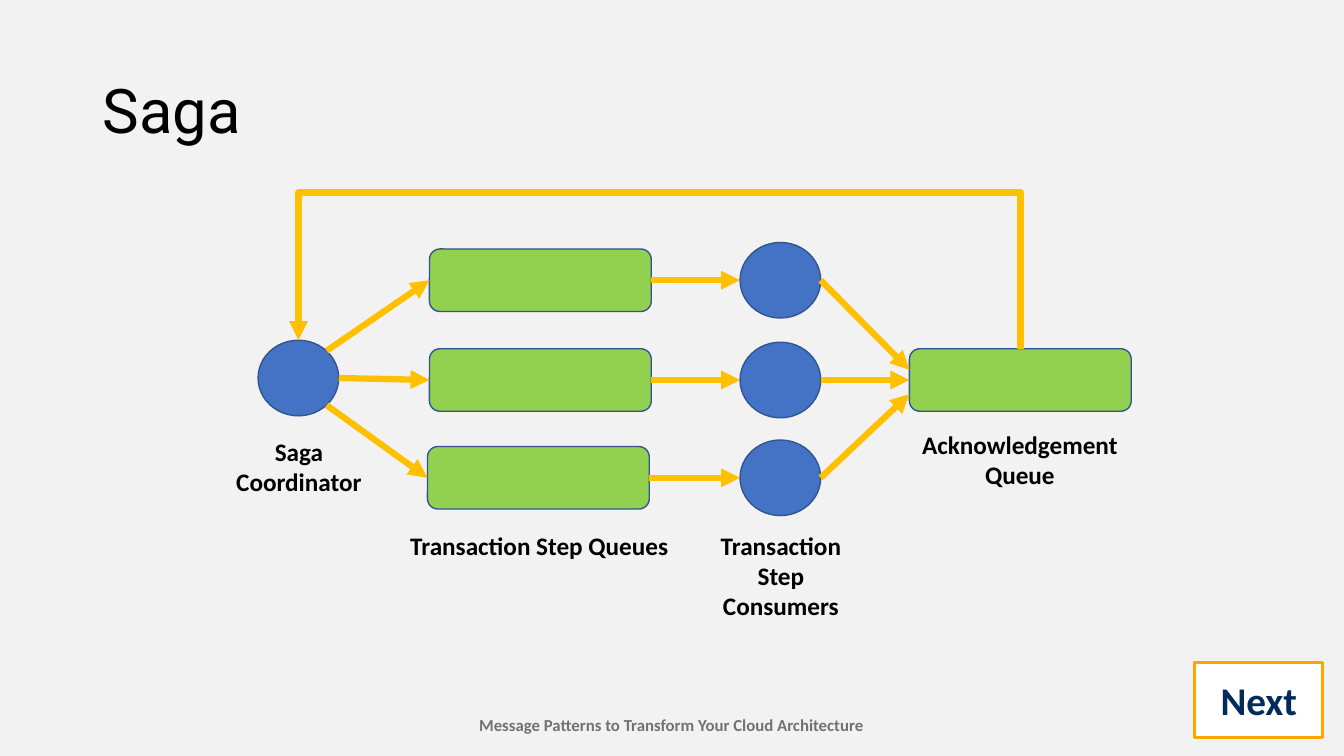
from typing import NamedTuple

from lxml import etree
from pptx import Presentation
from pptx.dml import color
from pptx.enum import shapes, text
from pptx.oxml import ns
from pptx.util import Inches, Pt

COLORS = {
    "background": "F2F2F2",
    "queue": "92D050",
    "worker": "4472C4",
    "outline": "325491",
    "arrow": "FFC000",
    "text": "000000",
    "footer": "727272",
    "button": "FFFFFF",
    "button_line": "FFA500",
    "button_text": "002B5B",
}
KIND = shapes.MSO_SHAPE
ALIGN = text.PP_ALIGN
CONNECTOR = shapes.MSO_CONNECTOR


class Node(NamedTuple):
    left: float
    middle: float
    width: float
    height: float
    kind: KIND
    fill: str

    @property
    def right(self) -> float:
        return self.left + self.width

    @property
    def top(self) -> float:
        return self.middle - self.height / 2

    @property
    def center(self) -> float:
        return self.left + self.width / 2


class Label(NamedTuple):
    words: str
    left: float
    top: float
    width: float
    height: float
    size: float = 18
    font: str = "Calibri"
    color: str = "text"
    bold: bool = True
    align: ALIGN = ALIGN.CENTER
    anchor: text.MSO_ANCHOR = text.MSO_ANCHOR.TOP
    wrap: bool = False
    line_spacing: float = 1.0


def queue(left: float, middle: float) -> Node:
    return Node(left, middle, 2.2, 0.62, KIND.ROUNDED_RECTANGLE, "queue")


def worker(left: float, middle: float) -> Node:
    return Node(left, middle, 0.8, 0.75, KIND.OVAL, "worker")


ROWS = (2.78, 3.77, 4.74)
COORDINATOR = worker(2.56, 3.75)
STEP_QUEUES = [queue(left, row) for left, row in zip((4.26, 4.26, 4.24), ROWS)]
CONSUMERS = [worker(7.34, row) for row in ROWS]
ACKNOWLEDGEMENT = queue(9.02, 3.77)

# Where arrows leave the coordinator and reach the acknowledgement queue
DEPARTURES = ((3.24, 3.48), (3.36, 3.75), (3.24, 4.02))
ARRIVALS = (3.67, 3.77, 3.91)
RETURN_TOP = 1.91

LABELS = (
    Label("Message Patterns to Transform Your Cloud Architecture",
          4.63, 7.04, 4.06, 0.3, size=12, color="footer"),
    Label("Saga", 0.92, 0.4, 11.5, 1.45, size=44, font="Roboto", bold=False,
          align=ALIGN.LEFT, anchor=text.MSO_ANCHOR.MIDDLE, wrap=True, line_spacing=0.9),
    Label("Saga\vCoordinator", 2.24, 4.28, 1.45, 0.71),
    Label("Transaction Step Queues", 3.97, 5.21, 2.78, 0.4, align=ALIGN.LEFT),
    Label("Transaction\nStep\nConsumers", 7.04, 5.21, 1.41, 1.01),
    Label("Acknowledgement\vQueue", 9.04, 4.21, 2.15, 0.71),
)
NEXT = Label("Next", 11.85, 6.57, 1.27, 0.75, size=28, color="button_text",
             anchor=text.MSO_ANCHOR.MIDDLE, wrap=True)


def rgb(name: str) -> color.RGBColor:
    return color.RGBColor.from_string(COLORS[name])


def write(shape, label: Label) -> None:
    frame = shape.text_frame
    frame.text = label.words
    frame.word_wrap = label.wrap
    frame.vertical_anchor = label.anchor
    for para in frame.paragraphs:
        para.alignment = label.align
        para.line_spacing = label.line_spacing
        for span in para.runs:
            span.font.name = label.font
            span.font.size = Pt(label.size)
            span.font.bold = label.bold
            span.font.color.rgb = rgb(label.color)


def draw_label(page, label: Label) -> None:
    box = page.shapes.add_textbox(*map(Inches, label[1:5]))
    write(box, label)


def draw_shape(page, kind: KIND, bounds: tuple, fill: str, line: str, weight: float):
    shape = page.shapes.add_shape(kind, *map(Inches, bounds))
    shape.shadow.inherit = False
    shape.fill.solid()
    shape.fill.fore_color.rgb = rgb(fill)
    shape.line.color.rgb = rgb(line)
    shape.line.width = Pt(weight)
    return shape


def draw_node(page, node: Node) -> None:
    bounds = (node.left, node.top, node.width, node.height)
    draw_shape(page, node.kind, bounds, node.fill, "outline", 1)


def draw_arrow(page, start: tuple, end: tuple, kind: CONNECTOR = CONNECTOR.STRAIGHT):
    arrow = page.shapes.add_connector(kind, *map(Inches, start + end))
    arrow.line.color.rgb = rgb("arrow")
    arrow.line.width = Pt(4.5)
    properties = arrow._element.spPr
    outline = properties.find(ns.qn("a:ln"))
    etree.SubElement(outline, ns.qn("a:tailEnd"), type="triangle")
    etree.SubElement(properties, ns.qn("a:effectLst"))
    return arrow


def draw_return_arrow(page, source: Node, target: Node) -> None:
    """Lead up from the source, across at RETURN_TOP and down onto the target."""
    span = source.center - target.center
    drop = source.top - target.top
    middle_x = (source.center + target.center) / 2
    middle_y = (source.top + target.top) / 2
    # A quarter turn makes the elbow leave upwards, so its width is the drop.
    start = (middle_x - drop / 2, middle_y + span / 2)
    end = (middle_x + drop / 2, middle_y - span / 2)
    arrow = draw_arrow(page, start, end, CONNECTOR.ELBOW)
    properties = arrow._element.spPr
    properties.find(ns.qn("a:xfrm")).set("rot", str(270 * 60000))
    geometry = properties.find(ns.qn("a:prstGeom"))
    guides = geometry.find(ns.qn("a:avLst"))
    if guides is None:
        guides = etree.SubElement(geometry, ns.qn("a:avLst"))
    bend = round((source.top - RETURN_TOP) / drop * 100000)
    etree.SubElement(guides, ns.qn("a:gd"), name="adj1", fmla=f"val {bend}")


def main() -> None:
    deck = Presentation()
    deck.slide_width, deck.slide_height = Inches(13.33), Inches(7.5)
    page = deck.slides.add_slide(deck.slide_layouts[6])
    page.background.fill.solid()
    page.background.fill.fore_color.rgb = rgb("background")

    for node in (COORDINATOR, *STEP_QUEUES, *CONSUMERS, ACKNOWLEDGEMENT):
        draw_node(page, node)
    for departure, step, consumer, arrival in zip(DEPARTURES, STEP_QUEUES, CONSUMERS, ARRIVALS):
        draw_arrow(page, departure, (step.left, step.middle))
        draw_arrow(page, (step.right, step.middle), (consumer.left, consumer.middle))
        draw_arrow(page, (consumer.right, consumer.middle), (ACKNOWLEDGEMENT.left, arrival))
    draw_return_arrow(page, ACKNOWLEDGEMENT, COORDINATOR)

    for label in LABELS:
        draw_label(page, label)
    button = draw_shape(page, KIND.RECTANGLE, NEXT[1:5], "button", "button_line", 2.25)
    write(button, NEXT)
    deck.save("out.pptx")


if __name__ == "__main__":
    main()
